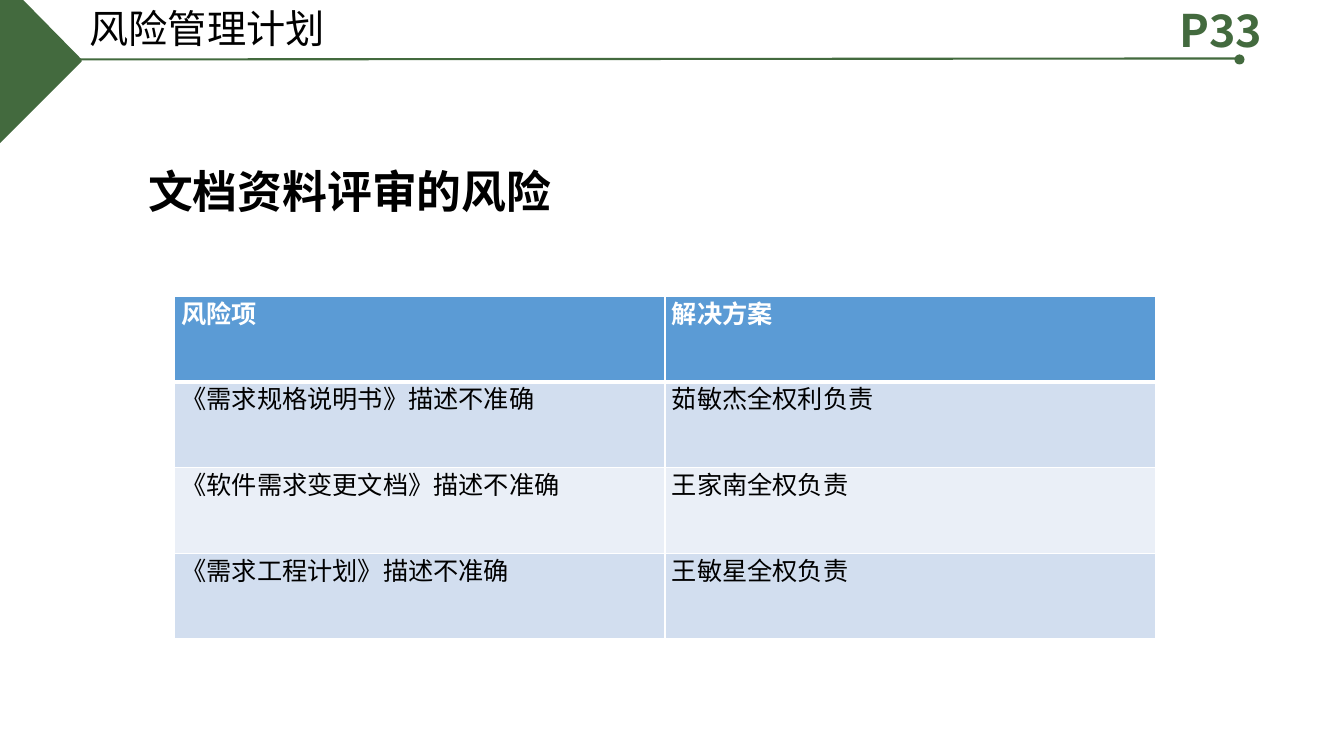
import pptx
import pptx.dml.color
import pptx.enum.shapes
import pptx.enum.text
import pptx.oxml
import pptx.oxml.ns
import pptx.util

GREEN = pptx.dml.color.RGBColor(0x43, 0x6A, 0x3E)
BLACK = pptx.dml.color.RGBColor(0, 0, 0)
WHITE = pptx.dml.color.RGBColor(255, 255, 255)
HEAD_BLUE = pptx.dml.color.RGBColor(0x5B, 0x9B, 0xD5)
ROW_BLUES = (
    pptx.dml.color.RGBColor(0xEA, 0xEF, 0xF7),
    pptx.dml.color.RGBColor(0xD2, 0xDE, 0xEF),
)
CJK_FONT = "Noto Sans CJK SC"
MIDDLE = pptx.enum.text.MSO_ANCHOR.MIDDLE
TOP = pptx.enum.text.MSO_ANCHOR.TOP
Inches = pptx.util.Inches
Pt = pptx.util.Pt

RISKS = [
    ("风险项", "解决方案"),
    ("《需求规格说明书》描述不准确", "茹敏杰全权利负责"),
    ("《软件需求变更文档》描述不准确", "王家南全权负责"),
    ("《需求工程计划》描述不准确", "王敏星全权负责"),
]


def write(frame, text, size=18, color=BLACK, bold=False, font=CJK_FONT, spacing=None):
    paragraph = frame.paragraphs[0]
    paragraph.line_spacing = spacing
    run = paragraph.add_run()
    run.text = text
    run.font.size = Pt(size)
    run.font.bold = bold
    run.font.name = font
    run.font.color.rgb = color


def add_text(slide, box, text, anchor=TOP, inset=0.05, **style):
    frame = slide.shapes.add_textbox(*map(Inches, box)).text_frame
    frame.word_wrap = True
    frame.vertical_anchor = anchor
    frame.margin_top = frame.margin_bottom = Inches(inset)
    write(frame, text, **style)


def paint_green(shape):
    shape.shadow.inherit = False
    shape.fill.solid()
    shape.fill.fore_color.rgb = GREEN
    shape.line.fill.background()


def add_header(slide, box, title, page):
    left, top, width, height = box
    tip, rule_y = left + 0.81, top + 0.59
    corner = slide.shapes.build_freeform(Inches(left), Inches(top), scale=1.0)
    outline = [(left + 0.23, top), (tip, rule_y), (tip, rule_y + 0.02), (left, top + height)]
    corner.add_line_segments([(Inches(x), Inches(y)) for x, y in outline])
    paint_green(corner.convert_to_shape())

    dot = 0.1
    rule_end = left + width * 0.92
    rule = slide.shapes.add_connector(
        pptx.enum.shapes.MSO_CONNECTOR.STRAIGHT,
        Inches(tip - 0.05), Inches(rule_y), Inches(rule_end), Inches(rule_y - 0.01),
    )
    rule.line.color.rgb = GREEN
    rule.line.width = Pt(1.5)
    rule._element.spPr.append(pptx.oxml.parse_xml(
        f'<a:effectLst {pptx.oxml.ns.nsdecls("a")}/>'))
    paint_green(slide.shapes.add_shape(
        pptx.enum.shapes.MSO_SHAPE.OVAL,
        Inches(rule_end - 0.02), Inches(rule_y - dot / 2), Inches(dot), Inches(dot)))

    add_text(slide, (tip - 0.02, top, 4.38, 0.56), title, anchor=MIDDLE, inset=0, size=28)
    add_text(slide, (left + width * 0.87, top, 1.17, 0.59), page, anchor=MIDDLE, inset=0,
             size=32, color=GREEN, bold=True)


def add_border(cell, side, points):
    cell._tc.get_or_add_tcPr().append(pptx.oxml.parse_xml(
        f'<a:{side} {pptx.oxml.ns.nsdecls("a")} w="{Pt(points)}">'
        f'<a:solidFill><a:srgbClr val="{WHITE}"/></a:solidFill></a:{side}>'))


def add_risk_table(slide, box, rows):
    table = slide.shapes.add_table(len(rows), len(rows[0]), *map(Inches, box)).table
    for r, row in enumerate(rows):
        is_head = r == 0
        for c, text in enumerate(row):
            cell = table.cell(r, c)
            cell.margin_left = cell.margin_right = Inches(0.07)
            cell.margin_top = Inches(0.17)
            cell.margin_bottom = 0
            write(cell.text_frame, text, bold=is_head,
                  color=WHITE if is_head else BLACK, spacing=Pt(12))
            for side in ("lnL", "lnR", "lnT", "lnB"):
                at_head_rule = (r, side) in ((0, "lnB"), (1, "lnT"))
                add_border(cell, side, 3 if at_head_rule else 1)
            cell.fill.solid()
            cell.fill.fore_color.rgb = HEAD_BLUE if is_head else ROW_BLUES[r % 2]


def main():
    deck = pptx.Presentation()
    deck.slide_width, deck.slide_height = Inches(13.33), Inches(7.5)
    slide = deck.slides.add_slide(deck.slide_layouts[6])
    add_header(slide, (0, 0, 13.33, 1.42), "风险管理计划", "P33")
    add_text(slide, (1.37, 1.64, 11, 0.7), "文档资料评审的风险",
             size=32, bold=True, font="Calibri", spacing=0.9)
    add_risk_table(slide, (1.73, 2.94, 9.73, 3.4), RISKS)
    deck.save("out.pptx")


if __name__ == "__main__":
    main()
